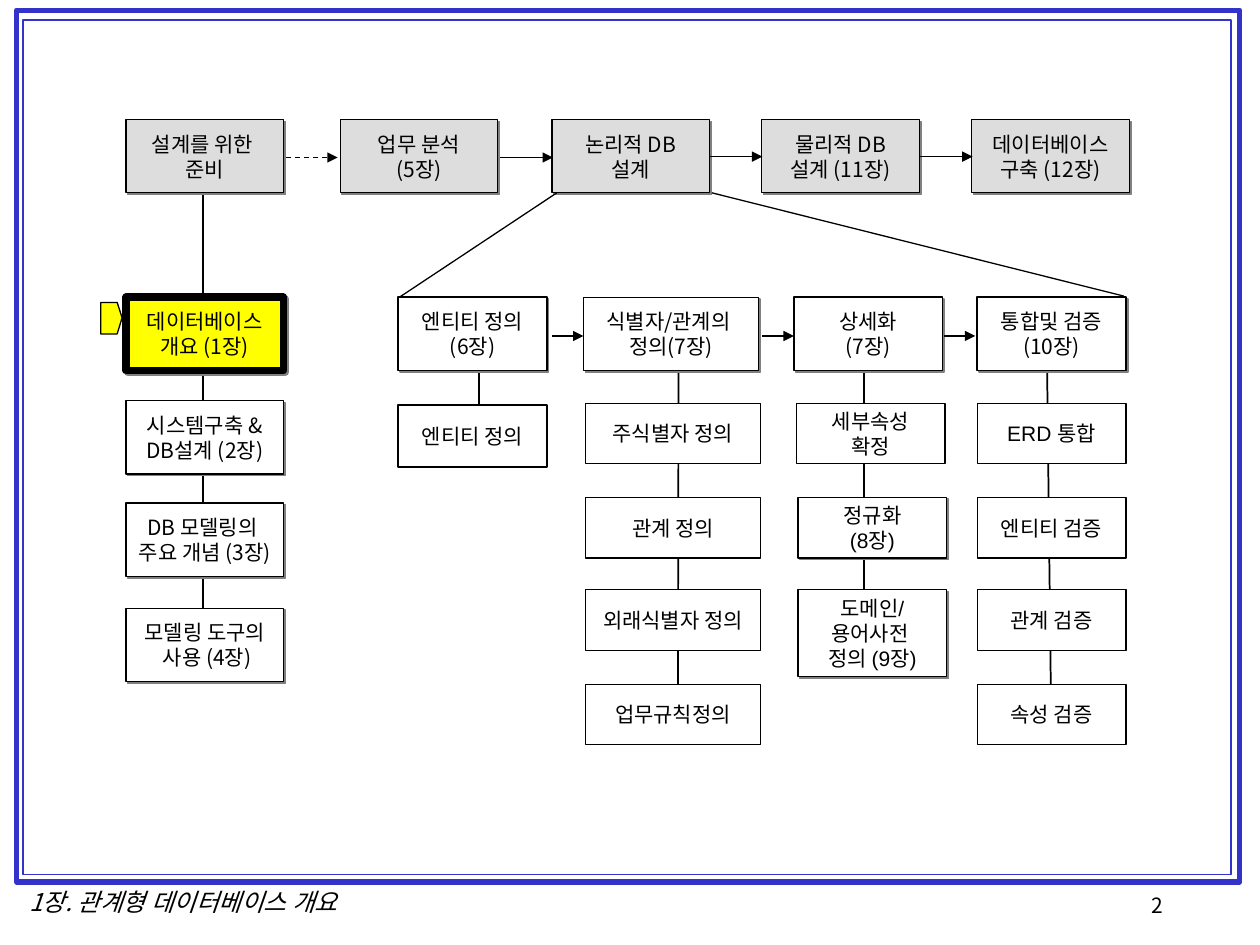
import pptx
import pptx.dml.color
import pptx.enum.dml
import pptx.enum.shapes
import pptx.enum.text
import pptx.oxml
import pptx.oxml.ns
import pptx.util
from dataclasses import dataclass
from typing import Any

Pt = pptx.util.Pt
RGBColor = pptx.dml.color.RGBColor
RECTANGLE = pptx.enum.shapes.MSO_SHAPE.RECTANGLE
CENTER = pptx.enum.text.PP_ALIGN.CENTER
LEFT = pptx.enum.text.PP_ALIGN.LEFT
MIDDLE = pptx.enum.text.MSO_ANCHOR.MIDDLE
TOP = pptx.enum.text.MSO_ANCHOR.TOP

BLACK = RGBColor(0x00, 0x00, 0x00)
WHITE = RGBColor(0xFF, 0xFF, 0xFF)
GRAY = RGBColor(0xDD, 0xDD, 0xDD)
YELLOW = RGBColor(0xFF, 0xFF, 0x00)
BLUE = RGBColor(0x33, 0x33, 0xCC)

KOREAN = "Noto Sans CJK KR"
LATIN = "Arial"
NAMESPACE = pptx.oxml.ns.nsdecls("a")
SHADOW = (
    f'<a:effectLst {NAMESPACE}><a:outerShdw dist="17961" dir="2700000" algn="ctr" '
    'rotWithShape="0"><a:srgbClr val="808080"/></a:outerShdw></a:effectLst>'
)
STAGE_HEIGHT = 41.8
STEP_HEIGHT = 34.6
TOP_ROW = 68.4
STAGE_ROW = 169.9


@dataclass(frozen=True)
class Box:
    left: float
    top: float
    width: float
    height: float
    text: str
    fill: RGBColor = WHITE
    line: float = 0.75
    shadow: bool = True
    font: str = KOREAN


@dataclass(frozen=True)
class Link:
    start: tuple[float, float]
    end: tuple[float, float]
    line: float = 0.75
    arrow: bool = False
    dashed: bool = False


def apply(target: Any, values: dict[str, Any]) -> None:
    for name, value in values.items():
        setattr(target, name, value)


def write_text(shape: Any, text: str, font: str, size: float = 12, italic: bool = False,
               align: Any = CENTER, anchor: Any = MIDDLE) -> None:
    frame = shape.text_frame
    apply(frame, {
        "word_wrap": False, "vertical_anchor": anchor,
        "margin_left": Pt(7.2), "margin_right": Pt(7.2),
        "margin_top": Pt(3.6), "margin_bottom": Pt(3.6),
    })
    for index, words in enumerate(text.split("\n")):
        paragraph = frame.add_paragraph() if index else frame.paragraphs[0]
        paragraph.alignment = align
        span = paragraph.add_run()
        span.text = words
        apply(span.font, {"name": font, "size": Pt(size), "italic": italic})
        span.font.color.rgb = BLACK
        span.font._element.append(
            pptx.oxml.parse_xml(f'<a:ea {NAMESPACE} typeface="{KOREAN}"/>'))


def draw_frame(page: Any, left: float, top: float, width: float, height: float,
               line: float) -> None:
    shape = page.shapes.add_shape(RECTANGLE, Pt(left), Pt(top), Pt(width), Pt(height))
    shape.shadow.inherit = False
    shape.fill.background()
    shape.line.color.rgb = BLUE
    shape.line.width = Pt(line)


def draw_box(page: Any, box: Box) -> None:
    shape = page.shapes.add_shape(
        RECTANGLE, Pt(box.left), Pt(box.top), Pt(box.width), Pt(box.height))
    shape.fill.solid()
    shape.fill.fore_color.rgb = box.fill
    shape.line.color.rgb = BLACK
    shape.line.width = Pt(box.line)
    if box.shadow:
        shape._element.spPr.append(pptx.oxml.parse_xml(SHADOW))
    else:
        shape.shadow.inherit = False
    write_text(shape, box.text, box.font)


def draw_link(page: Any, link: Link) -> None:
    connector = page.shapes.add_connector(
        pptx.enum.shapes.MSO_CONNECTOR.STRAIGHT, *map(Pt, link.start + link.end))
    connector.line.color.rgb = BLACK
    connector.line.width = Pt(link.line)
    if link.dashed:
        connector.line.dash_style = pptx.enum.dml.MSO_LINE.DASH
    if link.arrow:
        connector.line._get_or_add_ln().append(
            pptx.oxml.parse_xml(f'<a:tailEnd {NAMESPACE} type="triangle"/>'))
    connector._element.spPr.append(pptx.oxml.parse_xml(f"<a:effectLst {NAMESPACE}/>"))


def draw_marker(page: Any) -> None:
    builder = page.shapes.build_freeform(Pt(57.6), Pt(172.8))
    corners = [(67, 172.8), (69.8, 181.6), (67, 190.8), (57.6, 190.8)]
    builder.add_line_segments([(Pt(x), Pt(y)) for x, y in corners], close=True)
    marker = builder.convert_to_shape()
    marker.shadow.inherit = False
    marker.fill.solid()
    marker.fill.fore_color.rgb = YELLOW
    marker.line.color.rgb = BLACK
    marker.line.width = Pt(0.75)


def draw_label(page: Any, left: float, top: float, width: float, text: str,
               size: float, italic: bool, align: Any) -> None:
    label = page.shapes.add_textbox(Pt(left), Pt(top), Pt(width), Pt(24))
    write_text(label, text, KOREAN, size, italic, align, TOP)
    label.text_frame.word_wrap = True


def step(left: float, top: float, width: float, text: str, **style: Any) -> Box:
    values = {"height": STEP_HEIGHT, "shadow": False, "font": LATIN} | style
    return Box(left, top, width, text=text, **values)


PHASES = [
    Box(left, TOP_ROW, 90, STAGE_HEIGHT, text, GRAY)
    for left, text in [
        (72, "설계를 위한 \n준비"), (194.4, "업무 분석\n(5장)"), (315.4, "논리적 DB\n설계"),
        (435.3, "물리적 DB\n설계 (11장)"), (555.3, "데이터베이스\n구축 (12장)"),
    ]
]
CHAPTERS = [
    Box(72, STAGE_ROW, 90, STAGE_HEIGHT, "데이터베이스\n개요 (1장)", YELLOW, 4.5),
] + [
    Box(72, top, 90, STAGE_HEIGHT, text)
    for top, text in [
        (229, "시스템구축 &\nDB설계 (2장)"), (287.5, "DB 모델링의 \n주요 개념 (3장)"),
        (347.6, "모델링 도구의\n 사용 (4장)"),
    ]
]
STAGES = [
    Box(left, STAGE_ROW, width, STAGE_HEIGHT, text, line=line)
    for left, width, text, line in [
        (227.5, 85, "엔티티 정의\n(6장)", 1), (333.4, 100, "식별자/관계의 \n정의(7장)", 0.75),
        (453.6, 85, "상세화\n(7장)", 1), (558.4, 85, "통합및 검증\n(10장)", 1),
    ]
]
STEP_ROWS = [230.4, 284.2, 337, 391]
STEPS = [step(227.5, 231.6, 85, "엔티티 정의", height=35.3, line=1)] + [
    step(left, top, width, text)
    for left, width, texts in [
        (334.6, 100, ["주식별자 정의", "관계 정의", "외래식별자 정의", "업무규칙정의"]),
        (558.4, 85, ["ERD 통합", "엔티티 검증", "관계 검증", "속성 검증"]),
    ]
    for top, text in zip(STEP_ROWS, texts)
] + [
    step(455, STEP_ROWS[0], 85, "세부속성\n확정"),
    step(456, STEP_ROWS[1], 85, "정규화\n(8장)", shadow=True),
    step(456, STEP_ROWS[2], 85, "도메인/\n용어사전 \n정의 (9장)", height=49.7, shadow=True),
]
STEMS = [
    Link((116, 110.2), (116, 350)),
    Link((273.6, 209.5), (273.6, 233.3), 1),
    Link((387.8, 199.4), (387.4, 392.4), 1),
    Link((493.9, 204.5), (493.9, 340.6), 1),
    Link((598.3, 204.5), (600.5, 395.3), 1),
]
ARROWS = [
    Link((start, height), (end, height), arrow=True, dashed=dashed)
    for start, end, height, dashed in [
        (163.4, 193, 90, True), (285.8, 316, 90, False),
        (406, 435.6, 89.5, False), (525.6, 555.8, 89.5, False),
        (315.4, 333.4, 192, False), (435.6, 453.6, 192, False), (539.3, 557.3, 192, False),
    ]
]
BRANCHES = [Link((318.2, 110.2), (228.2, 169.9)), Link((406.8, 110.2), (642.2, 169.2))]


def main() -> None:
    deck = pptx.Presentation()
    apply(deck, {"slide_width": Pt(720), "slide_height": Pt(540)})
    page = deck.slides.add_slide(deck.slide_layouts[6])
    draw_label(page, 650.9, 506.2, 69, "2", 12, False, LEFT)
    draw_label(page, 3.6, 503.3, 202.3, "1장. 관계형 데이터베이스 개요", 14, True, CENTER)
    draw_frame(page, 9.4, 5.8, 699.1, 498.2, 3)
    draw_frame(page, 13, 11.5, 690.5, 488.2, 1)
    for link in STEMS:
        draw_link(page, link)
    for box in PHASES + CHAPTERS + STAGES + STEPS:
        draw_box(page, box)
    for link in ARROWS + BRANCHES:
        draw_link(page, link)
    draw_marker(page)
    deck.save("out.pptx")


if __name__ == "__main__":
    main()
